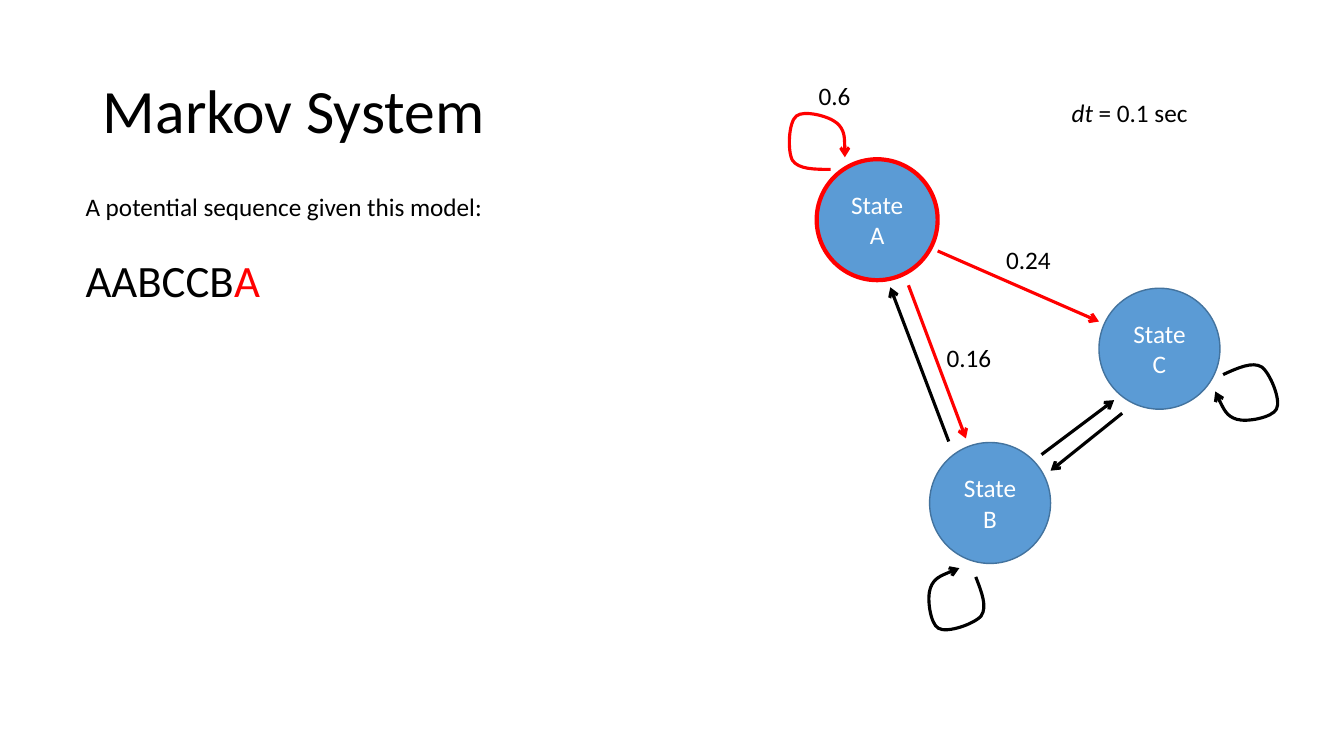
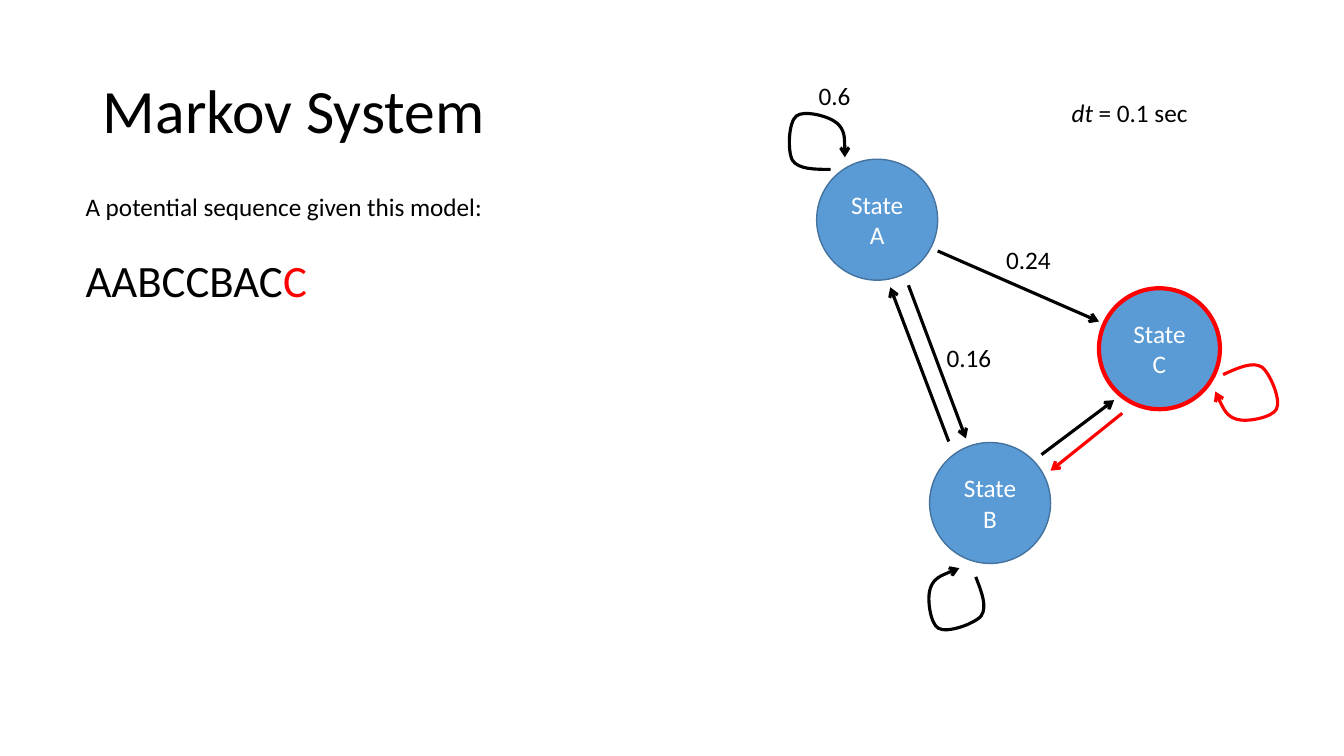
import dataclasses

import lxml.etree
import pptx
import pptx.dml.color
import pptx.enum.dml
import pptx.enum.shapes
import pptx.enum.text
import pptx.oxml.ns
import pptx.util

PIXEL = 9144
TITLE_ONLY = 5


@dataclasses.dataclass(frozen=True)
class Theme:
    font: str = "Calibri"
    ink: str = "000000"
    active: str = "FF0000"
    node: str = "5B9BD5"
    node_edge: str = "43739E"
    node_text: str = "FFFFFF"
    title_size: int = 44
    sequence_size: int = 32
    body_size: int = 18
    arrow_width: float = 2.25
    active_edge_width: float = 3
    node_edge_width: float = 1


THEME = Theme()
NODE_SIZE = 120
NODES = {"A": (810, 158), "B": (922, 439), "C": (1090, 286)}
ARROWS = [
    ("A", (901, 283), (958, 435)),
    ("A", (930, 249), (1090, 319)),
    ("B", (1033, 451), (1105, 397)),
    ("C", (1113, 410), (1042, 467)),
    ("B", (941, 438), (883, 285)),
]
LOOPS = [("A", 781, 109, 0), ("B", 917, 567, 248.7), ("C", 1210, 363, 155.5)]
LOOP_START = (43, 59)
LOOP_CURVES = [
    (27, 59), (11, 59), (5, 50),
    (0, 41), (1, 12), (9, 6),
    (16, 0), (41, 6), (49, 13),
    (57, 20), (57, 33), (57, 47),
]
PROBABILITIES = [
    ("0.24", 988, 237, 65),
    ("0.16", 929, 335, 65),
    ("0.6", 802, 75, 52),
]
STEPS = [("AABCCB", "A"), ("AABCCBAC", "C")]


def px(*lengths):
    return [pptx.util.Emu(length * PIXEL) for length in lengths]


def rgb(color):
    return pptx.dml.color.RGBColor.from_string(color)


class Painter:
    def __init__(self, deck, theme):
        self.deck = deck
        self.theme = theme
        self.page = None

    def new_page(self):
        layout = self.deck.slide_layouts[TITLE_ONLY]
        self.page = self.deck.slides.add_slide(layout)

    def span(self, para, text, size=None, color=None, italic=False):
        span = para.add_run()
        span.text = text
        span.font.name = self.theme.font
        span.font.size = pptx.util.Pt(size or self.theme.body_size)
        span.font.color.rgb = rgb(color or self.theme.ink)
        span.font.italic = italic

    def title(self, text):
        box = self.page.shapes.title
        box.left, box.top, box.width, box.height = px(92, 40, 1150, 145)
        box.text_frame.vertical_anchor = pptx.enum.text.MSO_ANCHOR.MIDDLE
        para = box.text_frame.paragraphs[0]
        para.alignment = pptx.enum.text.PP_ALIGN.LEFT
        para.line_spacing = 0.9
        self.span(para, text, self.theme.title_size)

    def text_box(self, left, top, width, height, wrap=False):
        box = self.page.shapes.add_textbox(*px(left, top, width, height))
        frame = box.text_frame
        frame.word_wrap = wrap
        frame.auto_size = pptx.enum.text.MSO_AUTO_SIZE.SHAPE_TO_FIT_TEXT
        return frame

    def label(self, text, left, top, width):
        frame = self.text_box(left, top, width, 40)
        self.span(frame.paragraphs[0], text)

    def time_step(self):
        para = self.text_box(1053, 92, 137, 40).paragraphs[0]
        self.span(para, "dt", italic=True)
        self.span(para, " = 0.1 sec")

    def sequence(self, past, current):
        frame = self.text_box(75, 185, 607, 125, wrap=True)
        self.span(frame.paragraphs[0], "A potential sequence given this model:")
        para = frame.add_paragraph()
        para.space_before = pptx.util.Pt(22)
        size = self.theme.sequence_size
        self.span(para, past, size)
        self.span(para, current, size, self.theme.active)

    def node(self, name, left, top, active):
        theme = self.theme
        node = self.page.shapes.add_shape(
            pptx.enum.shapes.MSO_SHAPE.OVAL, *px(left, top, NODE_SIZE, NODE_SIZE)
        )
        node.shadow.inherit = False
        node.fill.solid()
        node.fill.fore_color.rgb = rgb(theme.node)
        node.line.color.rgb = rgb(theme.active if active else theme.node_edge)
        node.line.width = pptx.util.Pt(
            theme.active_edge_width if active else theme.node_edge_width
        )
        node.text_frame.vertical_anchor = pptx.enum.text.MSO_ANCHOR.MIDDLE
        para = node.text_frame.paragraphs[0]
        para.alignment = pptx.enum.text.PP_ALIGN.CENTER
        self.span(para, f"State {name}", color=theme.node_text)

    def style_arrow(self, line, active):
        line.color.rgb = rgb(self.theme.active if active else self.theme.ink)
        line.width = pptx.util.Pt(self.theme.arrow_width)
        tail = lxml.etree.SubElement(
            line._get_or_add_ln(), pptx.oxml.ns.qn("a:tailEnd")
        )
        tail.set("type", "arrow")

    def arrow(self, start, end, active):
        arrow = self.page.shapes.add_connector(
            pptx.enum.shapes.MSO_CONNECTOR.STRAIGHT, *px(*start, *end)
        )
        self.style_arrow(arrow.line, active)
        lxml.etree.SubElement(
            arrow._element.spPr, pptx.oxml.ns.qn("a:effectLst")
        )

    def loop(self, left, top, rotation, active):
        builder = self.page.shapes.build_freeform(*LOOP_START, scale=PIXEL)
        builder.add_line_segments(LOOP_CURVES, close=False)
        loop = builder.convert_to_shape(*px(left, top))
        segments = list(loop._element.iter(pptx.oxml.ns.qn("a:lnTo")))
        for curve, *others in zip(segments[::3], segments[1::3], segments[2::3]):
            curve.tag = pptx.oxml.ns.qn("a:cubicBezTo")
            for other in others:
                curve.append(other[0])
                other.getparent().remove(other)
        loop.rotation = rotation
        loop.shadow.inherit = False
        loop.fill.background()
        self.style_arrow(loop.line, active)


def draw_step(painter, past, current):
    painter.new_page()
    painter.title("Markov System")
    for name, (left, top) in NODES.items():
        painter.node(name, left, top, name == current)
    for source, start, end in ARROWS:
        painter.arrow(start, end, source == current)
    for source, left, top, rotation in LOOPS:
        painter.loop(left, top, rotation, source == current)
    for probability in PROBABILITIES:
        painter.label(*probability)
    painter.sequence(past, current)
    painter.time_step()


def main():
    deck = pptx.Presentation()
    deck.slide_width, deck.slide_height = px(1333, 750)
    painter = Painter(deck, THEME)
    for past, current in STEPS:
        draw_step(painter, past, current)
    deck.save("out.pptx")


if __name__ == "__main__":
    main()
